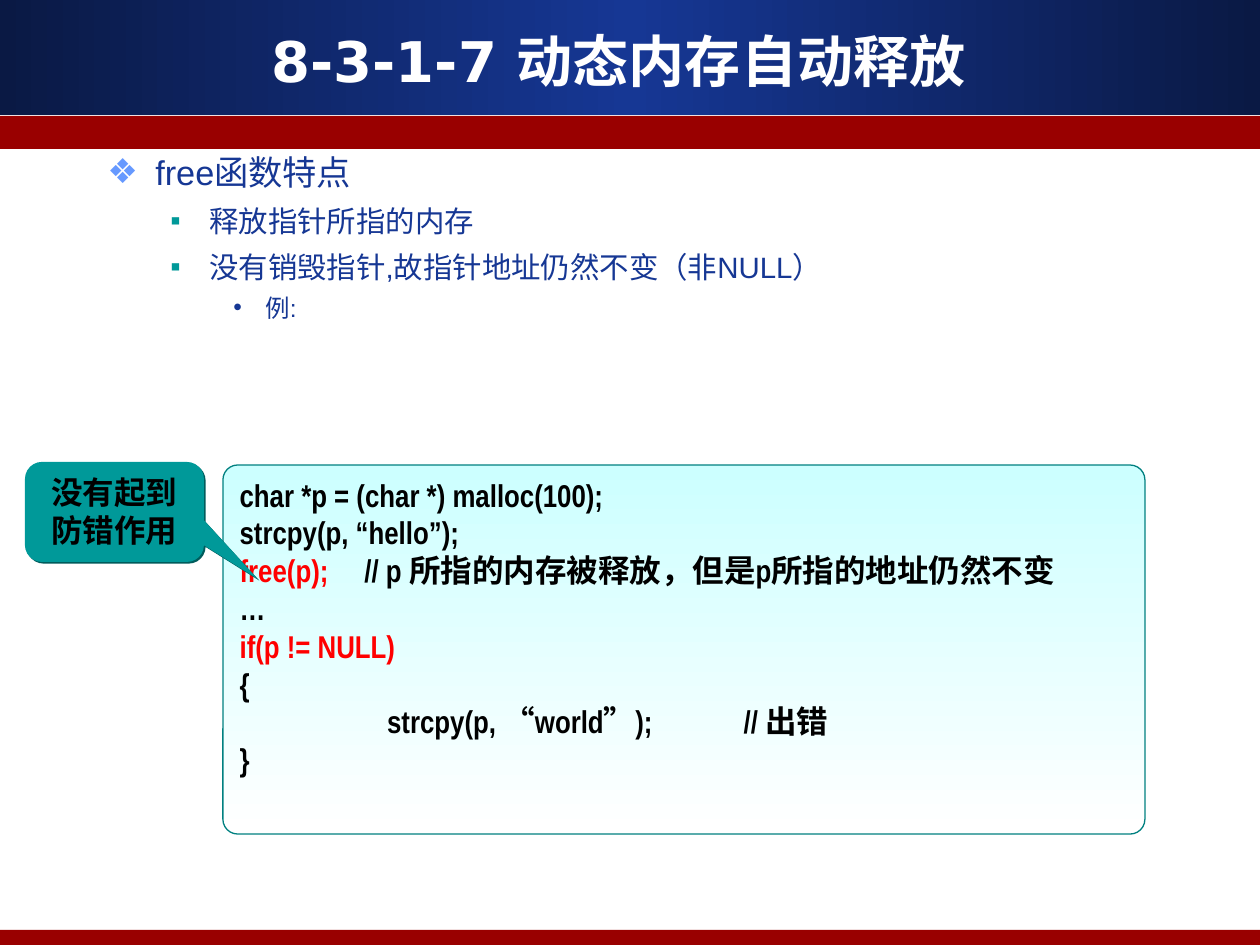
from pptx import Presentation, util as u
from pptx.dml.color import RGBColor
from pptx.enum import shapes, text
from pptx.oxml import parse_xml
from pptx.oxml.ns import nsdecls, qn
from lxml import etree

PX = 9144000 / 1260
COLORS = {
    "navy": "0A1944", "blue": "163794", "red": "990000", "sky": "6699FF",
    "teal": "009999", "edge": "008080", "shade": "005C5C", "ice": "CCFFFF",
    "white": "FFFFFF", "black": "000000", "alert": "FF0000",
}


def px(n):
    return u.Emu(round(n * PX))


def rgb(name):
    return RGBColor.from_string(COLORS[name])


def add_box(s, kind, box, fill=None):
    sp = s.shapes.add_shape(kind, *map(px, box))
    sp.shadow.inherit = False
    sp.line.fill.background()
    if fill:
        sp.fill.solid()
        sp.fill.fore_color.rgb = rgb(fill)
    return sp


def set_gradient(sp, names, angle):
    sp.fill.gradient()
    grad = sp._element.spPr.find(qn("a:gradFill"))
    step = 100000 // (len(names) - 1)
    stops = "".join(
        f'<a:gs pos="{i * step}"><a:srgbClr val="{COLORS[n]}"/></a:gs>'
        for i, n in enumerate(names))
    grad.replace(grad.find(qn("a:gsLst")),
                 parse_xml(f'<a:gsLst {nsdecls("a")}>{stops}</a:gsLst>'))
    grad.find(qn("a:lin")).set("ang", str(angle * 60000))


def style(r, size, font, color, bold=False):
    r.font.size, r.font.name, r.font.bold = u.Pt(size), font, bold
    r.font.color.rgb = rgb(color)


def add_bullet(p, char, color, left, hang):
    pPr = p._p.get_or_add_pPr()
    pPr.set("marL", str(px(left)))
    pPr.set("indent", str(-px(hang)))
    clr = etree.SubElement(pPr, qn("a:buClr"))
    etree.SubElement(clr, qn("a:srgbClr")).set("val", COLORS[color])
    etree.SubElement(pPr, qn("a:buFont")).set("typeface", "Arial")
    etree.SubElement(pPr, qn("a:buChar")).set("char", char)


def add_tabs(p, stops):
    tabs = etree.SubElement(p._p.get_or_add_pPr(), qn("a:tabLst"))
    for n in stops:
        tab = etree.SubElement(tabs, qn("a:tab"))
        tab.set("pos", str(px(n)))
        tab.set("algn", "l")


# Banner with the slide title, and the red bars
def add_banner(s, x, y, w, h):
    rect = shapes.MSO_SHAPE.RECTANGLE
    band = add_box(s, rect, (x, y, w, 115))
    set_gradient(band, ["navy", "blue", "navy"], 0)
    add_box(s, rect, (x, y + 116, w, 33), "red")
    add_box(s, rect, (x, y + h - 15, w, 15), "red")

    tf = s.shapes.add_textbox(px(x + 36), px(y + 21), px(1165), px(78)).text_frame
    tf.word_wrap = True
    tf.vertical_anchor = text.MSO_ANCHOR.MIDDLE
    p = tf.paragraphs[0]
    p.text = "8-3-1-7 动态内存自动释放"
    p.alignment = text.PP_ALIGN.CENTER
    style(p.runs[0], 32, "DejaVu Sans", "white", True)


# Bulleted outline
def add_outline(s, x, y, w, h):
    levels = [  # bullet, colour, left, hang, size, space before
        ("❖", "sky", 48, 48, 19.6, 7),
        ("▪", "teal", 102, 39, 16.8, 6),
        ("•", "blue", 158, 32, 14, 5),
    ]
    items = [
        (0, "free函数特点"),
        (1, "释放指针所指的内存"),
        (1, "没有销毁指针,故指针地址仍然不变（非NULL）"),
        (2, "例:"),
    ]
    tf = s.shapes.add_textbox(*map(px, (x, y, w, h))).text_frame
    tf.word_wrap = True
    for i, (level, line) in enumerate(items):
        char, color, left, hang, size, before = levels[level]
        p = tf.paragraphs[0] if i == 0 else tf.add_paragraph()
        p.text = line
        p.level = level
        add_bullet(p, char, color, left, hang)
        if i:
            p.space_before = u.Pt(before)
        style(p.runs[0], size, "Arial", "blue")


# Code panel
def add_code(s, x, y, w, h):
    lines = [
        [("char *p = (char *) malloc(100);", "black")],
        [("strcpy(p, “hello”);", "black")],
        [("free(p);", "alert"),
         ("     // p 所指的内存被释放，但是p所指的地址仍然不变", "black")],
        [("…", "black")],
        [("if(p != NULL)", "alert")],
        [("{", "black")],
        [("\t   strcpy(p, “world”);\t// 出错", "black")],
        [("}", "black")],
    ]
    sp = add_box(s, shapes.MSO_SHAPE.ROUNDED_RECTANGLE, (x, y, w, h))
    sp.adjustments[0] = 0.04
    set_gradient(sp, ["ice", "white"], 90)
    sp.line.color.rgb = rgb("edge")
    sp.line.width = u.Pt(0.75)
    tf = sp.text_frame
    tf.word_wrap = True
    tf.vertical_anchor = text.MSO_ANCHOR.TOP
    for i, parts in enumerate(lines):
        p = tf.paragraphs[0] if i == 0 else tf.add_paragraph()
        p.alignment = text.PP_ALIGN.LEFT
        add_tabs(p, (126, 504))
        for words, color in parts:
            r = p.add_run()
            r.text = words
            style(r, 18, "Arial Narrow", color, True)


# Callout pointing at the free() line
def add_callout(s, x, y, w, h):
    sp = add_box(s, shapes.MSO_SHAPE.ROUNDED_RECTANGULAR_CALLOUT,
                 (x, y, w, h), "teal")
    for i, value in enumerate((0.8, 0.67, 0.17)):
        sp.adjustments[i] = value
    sp._element.spPr.find(qn("a:effectLst")).append(parse_xml(
        f'<a:outerShdw {nsdecls("a")} dist="{u.Pt(1.4)}" dir="2700000">'
        f'<a:srgbClr val="{COLORS["shade"]}"/></a:outerShdw>'))
    tf = sp.text_frame
    tf.word_wrap = True
    tf.vertical_anchor = text.MSO_ANCHOR.TOP
    p = tf.paragraphs[0]
    p.text = "没有起到防错作用"
    p.alignment = text.PP_ALIGN.CENTER
    style(p.runs[0], 18, "Arial Narrow", "black", True)


def main():
    prs = Presentation()
    prs.slide_width, prs.slide_height = px(1260), px(945)
    s = prs.slides.add_slide(prs.slide_layouts[6])
    add_banner(s, 0, 0, 1260, 945)
    add_outline(s, 95, 145, 1071, 218)
    add_code(s, 223, 465, 922, 369)
    add_callout(s, 25, 462, 179, 100)
    prs.save("out.pptx")


if __name__ == "__main__":
    main()
